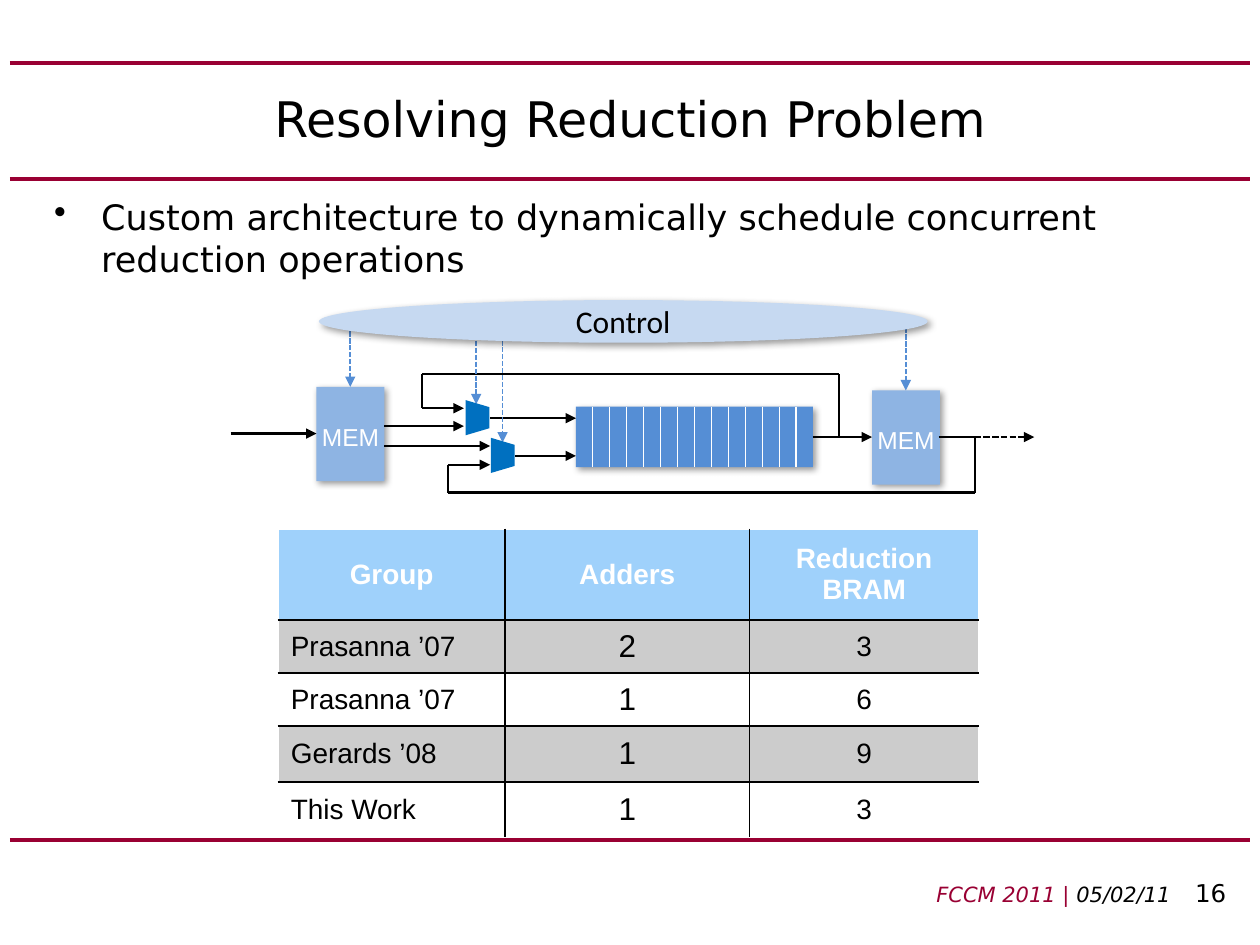
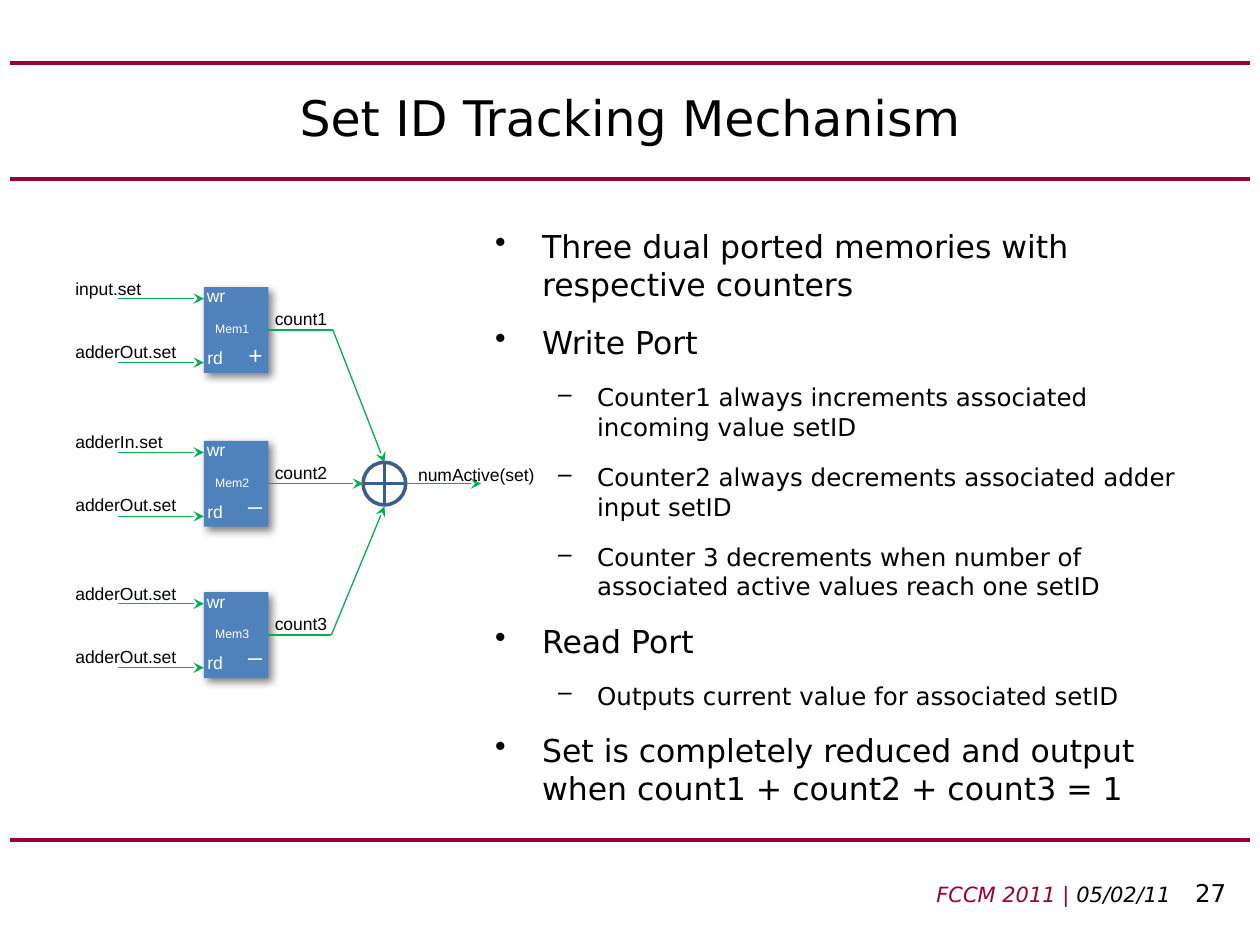
import dataclasses
import typing

import lxml.etree
import pptx
import pptx.dml.color
import pptx.enum.dml
import pptx.enum.shapes
import pptx.enum.text
import pptx.oxml.ns
import pptx.util

Cm = pptx.util.Cm
Pt = pptx.util.Pt
Kind = pptx.enum.shapes.MSO_SHAPE
Align = pptx.enum.text.PP_ALIGN
Mid = pptx.enum.text.MSO_ANCHOR.MIDDLE

HUES = {
    "rule": "990033", "ink": "000000", "paper": "FFFFFF", "head": "9FD1FB",
    "band": "CCCCCC", "mem": "8EB4E3", "pipe": "558ED5", "mux": "0070C0",
    "oval": "C6D9F1", "bank": "4F81BD", "node": "3A5F8C", "wire": "00B050",
}
SANS = "DejaVu Sans"


@dataclasses.dataclass
class Box:
    x: float
    y: float
    w: float
    h: float


@dataclasses.dataclass
class Wire:
    points: list
    hue: str = "ink"
    width: float = 1.25
    end: str = "triangle"
    dash: bool = False


@dataclasses.dataclass
class Run:
    text: str
    size: float
    hue: str = "ink"
    face: str = "Arial"
    bold: bool = False
    slant: bool = False


@dataclasses.dataclass
class Bank:
    top: float
    name: str
    feed: str
    sign: str
    lift: float
    count: str


def tint(key: str) -> pptx.dml.color.RGBColor:
    return pptx.dml.color.RGBColor.from_string(HUES[key])


def apply(item: typing.Any, values: dict) -> None:
    for key, value in values.items():
        setattr(item, key, value)


def place(box: Box) -> list:
    return [Cm(v) for v in (box.x, box.y, box.w, box.h)]


def add_xml(parent: typing.Any, tag: str, **attrs: str) -> typing.Any:
    return lxml.etree.SubElement(parent, pptx.oxml.ns.qn(tag), attrs)


def add_runs(para: typing.Any, runs: list, align: typing.Any = None) -> None:
    para.alignment = align
    for run in runs:
        part = para.add_run()
        part.text = run.text
        apply(part.font, {"name": run.face, "size": Pt(run.size),
                          "bold": run.bold, "italic": run.slant})
        part.font.color.rgb = tint(run.hue)


def add_text(slide: typing.Any, box: Box, runs: list, align: typing.Any = None) -> typing.Any:
    frame = slide.shapes.add_textbox(*place(box)).text_frame
    frame.word_wrap = True
    add_runs(frame.paragraphs[0], runs, align)
    return frame


def add_list(slide: typing.Any, box: Box, items: list, sizes: tuple) -> None:
    """Draw a two-level bullet list from (level, text) pairs."""
    frame = add_text(slide, box, [])
    marks = (("•", 0.95, -0.95), ("–", 2.06, -0.79))
    for i, (level, text) in enumerate(items):
        para = frame.add_paragraph() if i else frame.paragraphs[0]
        mark, left, hang = marks[level]
        props = para._p.get_or_add_pPr()
        apply(para, {"level": level, "space_after": Pt(12)})
        props.set("marL", str(Cm(left)))
        props.set("indent", str(Cm(hang)))
        add_xml(props, "a:buChar", char=mark)
        add_runs(para, [Run(text, sizes[level], face=SANS)])


def add_wire(slide: typing.Any, wire: Wire) -> None:
    """Draw a path of straight lines, with any arrowhead on the last one."""
    pairs = list(zip(wire.points, wire.points[1:]))
    for i, (start, stop) in enumerate(pairs):
        link = slide.shapes.add_connector(
            pptx.enum.shapes.MSO_CONNECTOR.STRAIGHT, *map(Cm, (*start, *stop)))
        link.line.color.rgb = tint(wire.hue)
        link.line.width = Pt(wire.width)
        if wire.dash:
            link.line.dash_style = pptx.enum.dml.MSO_LINE.SQUARE_DOT
        if wire.end and i == len(pairs) - 1:
            add_xml(link.line._ln, "a:tailEnd", type=wire.end)
        add_xml(link._element.spPr, "a:effectLst")


def add_shape(slide: typing.Any, kind: typing.Any, box: Box, hue: str = "",
              shade: tuple = ()) -> typing.Any:
    """Draw a shape; shade gives shadow opacity, blur and distance."""
    shape = slide.shapes.add_shape(kind, *place(box))
    shape.shadow.inherit = False
    shape.line.fill.background()
    if hue:
        shape.fill.solid()
        shape.fill.fore_color.rgb = tint(hue)
    else:
        shape.fill.background()
    if shade:
        alpha, blur, dist = shade
        glow = add_xml(shape._element.spPr.find(pptx.oxml.ns.qn("a:effectLst")),
                       "a:outerShdw", blurRad=str(Pt(blur)), dist=str(Pt(dist)),
                       dir="2700000", algn="tl", rotWithShape="0")
        color = add_xml(glow, "a:srgbClr", val=HUES["ink"])
        add_xml(color, "a:alpha", val=str(alpha * 1000))
    return shape


def add_slide(deck: typing.Any, title: str, number: str, top: float, height: float) -> typing.Any:
    slide = deck.slides.add_slide(deck.slide_layouts[5])
    for y in (16.94, 3.61, 1.27):
        add_wire(slide, Wire([(0.2, y), (25.2, y)], "rule", 2.25, ""))
    head = slide.shapes.title
    apply(head, {"left": Cm(1.27), "top": Cm(top), "width": Cm(22.86), "height": Cm(height)})
    apply(head.text_frame, {"vertical_anchor": Mid, "word_wrap": True,
                            "auto_size": pptx.enum.text.MSO_AUTO_SIZE.NONE})
    add_runs(head.text_frame.paragraphs[0], [Run(title, 28, face=SANS)], Align.CENTER)
    add_text(slide, Box(7.82, 17.58, 17.15, 0.84), [
        Run("FCCM 2011 | ", 12, "rule", SANS, slant=True),
        Run("05/02/11\t ", 12, face=SANS, slant=True),
        Run(number, 14, face=SANS)], Align.RIGHT)
    return slide


def add_table(slide: typing.Any) -> None:
    rows = [("Group", "Adders", "Reduction\nBRAM"),
            ("Prasanna ’07", "2", "3"), ("Prasanna ’07", "1", "6"),
            ("Gerards ’08", "1", "9"), ("This Work", "1", "3")]
    wide, high = (4.57, 4.93, 4.62), (1.83, 1.07, 1.07, 1.12, 1.12)
    grid = slide.shapes.add_table(
        len(rows), len(wide), *place(Box(5.61, 10.67, sum(wide), sum(high)))).table
    apply(grid, {"first_row": False, "horz_banding": False})
    for c, width in enumerate(wide):
        grid.columns[c].width = Cm(width)
    for r, row in enumerate(rows):
        grid.rows[r].height = Cm(high[r])
        for c, text in enumerate(row):
            cell = grid.cell(r, c)
            cell.vertical_anchor = Mid
            props = cell._tc.get_or_add_tcPr()
            inner = {"L": c > 0, "R": c < len(wide) - 1, "T": r > 0, "B": r < len(rows) - 1}
            for side, shown in inner.items():
                if shown:
                    edge = add_xml(props, "a:ln" + side, w=str(Pt(1)))
                    add_xml(add_xml(edge, "a:solidFill"), "a:srgbClr", val=HUES["ink"])
            cell.fill.solid()
            cell.fill.fore_color.rgb = tint("head" if r == 0 else "band" if r % 2 else "paper")
            for i, line in enumerate(text.split("\n")):
                frame = cell.text_frame
                para = frame.add_paragraph() if i else frame.paragraphs[0]
                run = Run(line, 18 if r and c == 1 else 16,
                          "ink" if r else "paper", bold=r == 0)
                add_runs(para, [run], Align.LEFT if r and c == 0 else Align.CENTER)


def draw_solve(deck: typing.Any) -> None:
    slide = add_slide(deck, "Resolving Reduction Problem", "16", 1.27, 2.21)
    add_list(slide, Box(0.84, 3.81, 23.5, 12.9), [
        (0, "Custom architecture to dynamically schedule concurrent reduction operations"),
    ], (20, 14))
    add_table(slide)
    shade = (40, 4, 2)
    mems = [Box(6.38, 7.8, 1.37, 1.9), Box(17.58, 7.87, 1.37, 1.9)]
    for mem in mems:
        add_shape(slide, Kind.RECTANGLE, mem, "mem", shade)
    pipe = Box(11.61, 8.2, 4.78, 1.22)
    add_shape(slide, Kind.RECTANGLE, pipe, "pipe", shade)
    stages = 14
    for i in range(1, stages):
        x = pipe.x + pipe.w * i / stages
        add_wire(slide, Wire([(x, pipe.y), (x, pipe.y + pipe.h)], "paper", 0.75, ""))
    for points in (
        [(4.65, 8.74), (6.38, 8.74)],
        [(7.75, 8.59), (9.35, 8.59)],
        [(7.75, 8.99), (9.88, 8.99)],
        [(9.88, 8.43), (11.61, 8.43)],
        [(10.39, 9.19), (11.61, 9.19)],
        [(16.38, 8.81), (17.58, 8.81)],
        [(16.92, 8.81), (16.92, 7.54), (8.51, 7.54), (8.51, 8.23), (9.35, 8.23)],
        [(18.92, 8.81), (19.65, 8.81), (19.65, 9.93), (9.03, 9.93), (9.03, 9.37), (9.88, 9.37)],
    ):
        add_wire(slide, Wire(points))
    add_wire(slide, Wire([(19.65, 8.81), (20.85, 8.81)], dash=True))
    for x, top, base in ((7.06, 6.4, 7.8), (18.26, 6.6, 7.87),
                         (9.6, 6.73, 8.15), (10.13, 6.86, 8.92)):
        add_wire(slide, Wire([(x, top), (x, base)], "pipe", 1, dash=True))
    oval = add_shape(slide, Kind.OVAL, Box(6.43, 6.05, 12.27, 0.86), "oval", shade)
    oval.text_frame.vertical_anchor = Mid
    add_runs(oval.text_frame.paragraphs[0], [Run("Control", 18, face="Calibri")], Align.CENTER)
    for mem in mems:
        add_text(slide, Box(mem.x - 0.14, mem.y + 0.58, 2.34, 0.71), [Run("MEM", 14, "paper")])
    for x, y in ((9.27, 8.18), (9.78, 8.94)):
        mux = add_shape(slide, Kind.FLOWCHART_MANUAL_OPERATION, Box(x, y, 0.71, 0.48), "mux")
        mux.rotation = 270


def draw_bank(slide: typing.Any, bank: Bank) -> None:
    """Draw one counter memory with its ports and labels."""
    top, left = bank.top, 4.11
    add_shape(slide, Kind.RECTANGLE, Box(left, top, 1.3, 1.73), "bank", (50, 5, 3))
    for drop in (0.23, 1.52):
        add_wire(slide, Wire([(2.38, top + drop), (left, top + drop)], "wire", 0.75, "stealth"))
    for text, x, drop, width, size, hue in (
        (bank.feed, 1.27, -0.32, 2.64, 10, "ink"),
        ("adderOut.set", 1.27, 0.95, 2.64, 10, "ink"),
        ("wr", 3.92, -0.16, 1.3, 10, "paper"),
        ("rd", 3.93, 1.08, 1.3, 10, "paper"),
        (bank.name, 4.09, 0.56, 1.3, 7, "paper"),
        (bank.sign, 4.76, bank.lift, 0.86, 14, "paper"),
        (bank.count, 5.29, 0.3, 1.73, 10, "ink"),
    ):
        add_text(slide, Box(x, top + drop, width, 0.74), [Run(text, size, hue)])


def draw_track(deck: typing.Any) -> None:
    slide = add_slide(deck, "Set ID Tracking Mechanism", "27", 0.76, 3.18)
    add_list(slide, Box(9.73, 4.45, 14.61, 12.57), [
        (0, "Three dual ported memories with respective counters"),
        (0, "Write Port"),
        (1, "Counter1 always increments associated incoming value setID"),
        (1, "Counter2 always decrements associated adder input setID"),
        (1, "Counter 3 decrements when number of associated active values reach one setID"),
        (0, "Read Port"),
        (1, "Outputs current value for associated setID"),
        (0, "Set is completely reduced and output when count1 + count2 + count3 = 1"),
    ], (18, 14))
    for bank in (Bank(5.79, "Mem1", "input.set", "+", 0.94, "count1"),
                 Bank(8.89, "Mem2", "adderIn.set", "_", 0.66, "count2"),
                 Bank(11.94, "Mem3", "adderOut.set", "_", 0.66, "count3")):
        draw_bank(slide, bank)
    node = add_shape(slide, Kind.FLOWCHART_OR, Box(7.32, 9.32, 0.86, 0.86))
    node.line.color.rgb = tint("node")
    node.line.width = Pt(2)
    for points in (
        [(5.41, 6.65), (6.71, 6.65), (7.75, 9.32)],
        [(5.41, 9.75), (7.32, 9.75)],
        [(5.41, 12.8), (6.68, 12.8), (7.75, 10.21)],
        [(8.18, 9.75), (9.7, 9.75)],
    ):
        add_wire(slide, Wire(points, "wire", 0.75, "stealth"))
    add_text(slide, Box(8.18, 9.22, 3.02, 0.71), [Run("numActive(set)", 10)])


def main() -> None:
    deck = pptx.Presentation()
    apply(deck, {"slide_width": Cm(25.4), "slide_height": Cm(19.05)})
    draw_solve(deck)
    draw_track(deck)
    deck.save("out.pptx")


if __name__ == "__main__":
    main()
